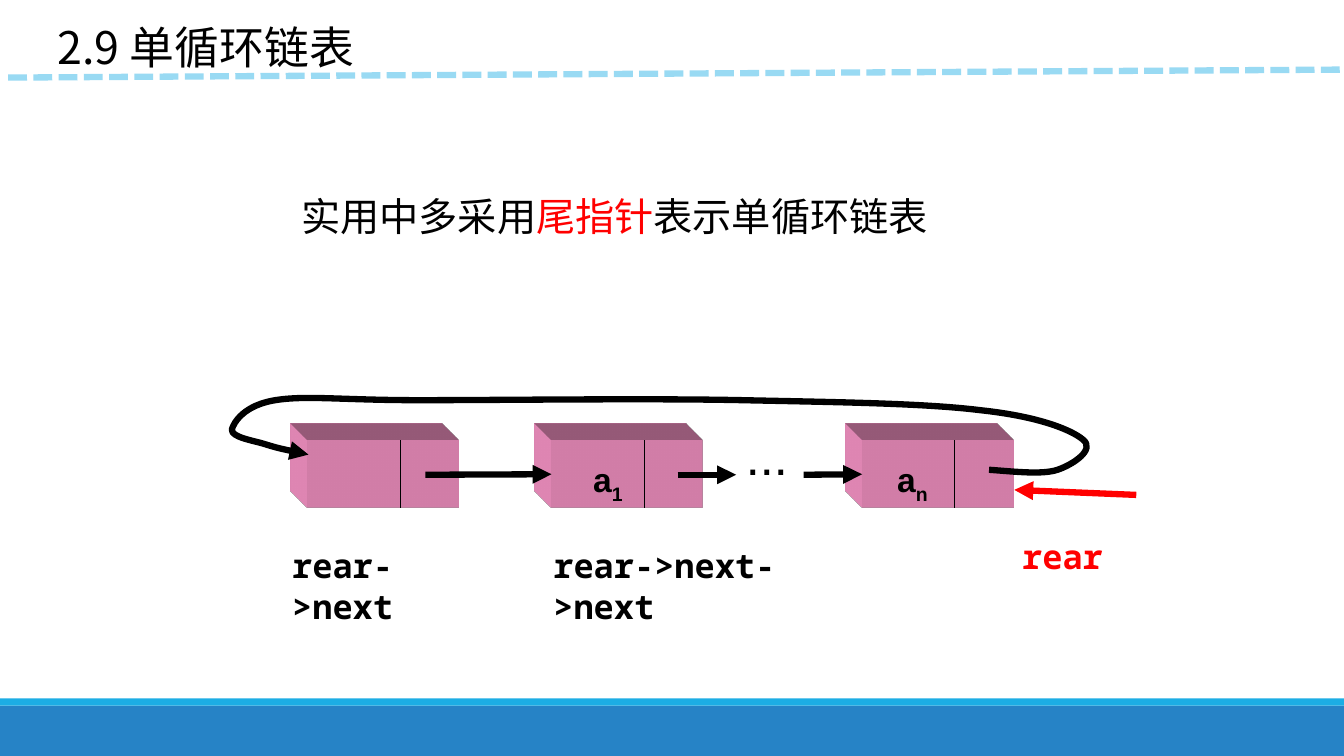
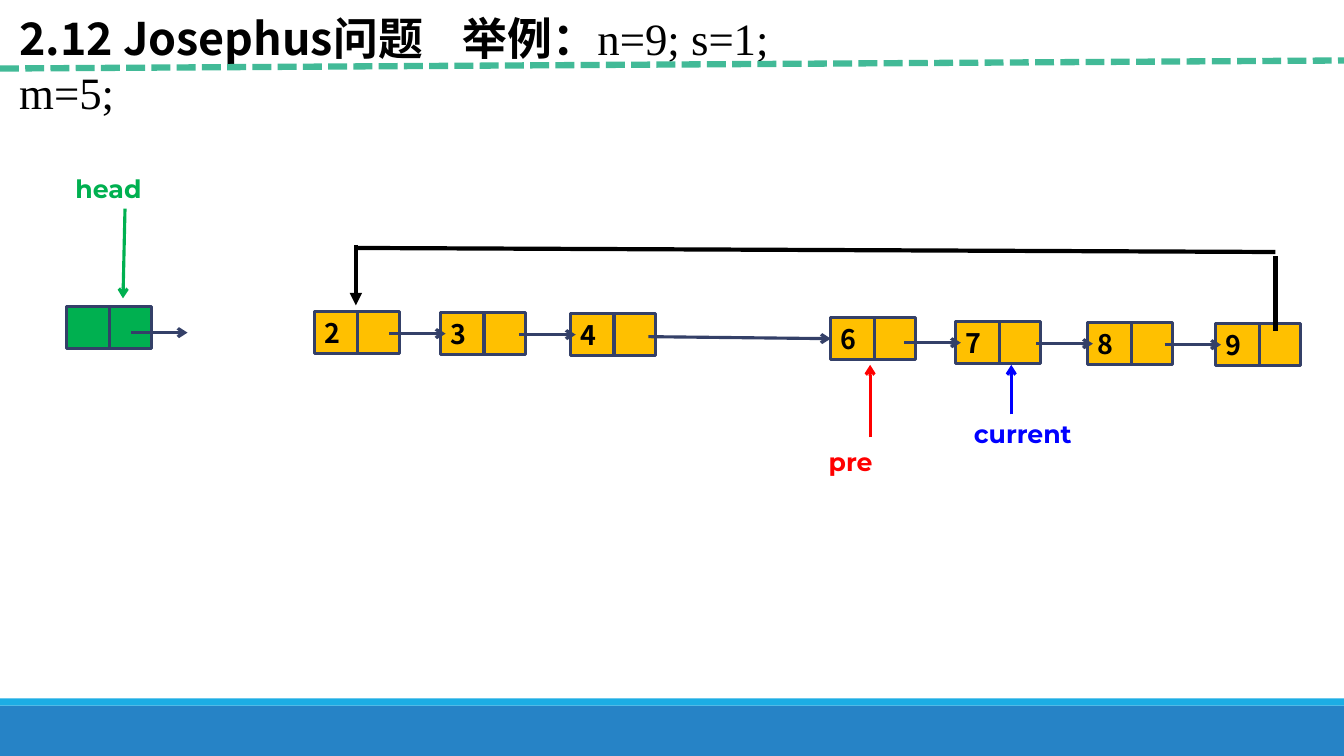
from dataclasses import dataclass

from lxml import etree
from pptx import Presentation
from pptx.dml.color import RGBColor
from pptx.enum.dml import MSO_LINE
from pptx.enum.shapes import MSO_CONNECTOR, MSO_SHAPE
from pptx.enum.text import MSO_ANCHOR, MSO_AUTO_SIZE, PP_ALIGN
from pptx.oxml.ns import qn
from pptx.util import Inches, Pt

STRAIGHT = MSO_CONNECTOR.STRAIGHT
RECT = MSO_SHAPE.RECTANGLE
DASH = MSO_LINE.SQUARE_DOT
TOP, MIDDLE = MSO_ANCHOR.TOP, MSO_ANCHOR.MIDDLE
LEFT, CENTER = PP_ALIGN.LEFT, PP_ALIGN.CENTER
FIXED = MSO_AUTO_SIZE.NONE
LEFT_SIDE = 1


@dataclass(frozen=True)
class Theme:
    black: str = "000000"
    white: str = "FFFFFF"
    red: str = "FF0000"
    blue: str = "0000FF"
    green: str = "00B050"
    gold: str = "FFC000"
    navy: str = "344068"
    sky: str = "99DAF3"
    mint: str = "42BA97"
    band: str = "2683C6"
    strip: str = "1CADE4"
    pink: str = "FF99CC"
    cjk: str = "Noto Sans CJK SC"
    mono: str = "Noto Sans Mono"
    label: str = "Montserrat"
    sans: str = "Arial"
    serif: str = "Times New Roman"
    title_pt: float = 32
    lead_pt: float = 28
    dots_pt: float = 36
    code_pt: float = 24
    node_pt: float = 19.2
    label_pt: float = 18


T = Theme()


def rgb(code):
    return RGBColor.from_string(code)


def assign(item, values):
    for name, value in values.items():
        setattr(item, name, value)


def write(shape, runs, font, size, bold=False, align=LEFT, **format):
    """Fill a shape from (text, colour[, font, bold]) runs."""
    frame = shape.text_frame
    assign(frame, {"word_wrap": True, "auto_size": FIXED, **format})
    para = frame.paragraphs[0]
    assign(para, {"alignment": align, "line_spacing": 1.0})
    for text, color, *other in runs:
        face, heavy = other or (font, bold)
        run = para.add_run()
        run.text = text
        assign(run.font, {"name": face, "size": Pt(size), "bold": heavy})
        run.font.color.rgb = rgb(color)
    for latin in list(shape.element.iter(qn("a:latin"))):
        latin.addnext(etree.Element(qn("a:ea"), typeface=latin.get("typeface")))


def text(slide, at, runs, font, size, **format):
    box = slide.shapes.add_textbox(*map(Inches, at))
    write(box, runs, font, size, **format)


def rect(slide, at, fill, edge=None):
    shape = slide.shapes.add_shape(RECT, *map(Inches, at))
    shape.shadow.inherit = False
    shape.fill.solid()
    shape.fill.fore_color.rgb = rgb(fill)
    if edge:
        shape.line.color.rgb = rgb(edge)
        shape.line.width = Pt(2.25)
    else:
        shape.line.fill.background()
    return shape


def tip(shape, kind):
    """Put an arrowhead at the end of a line."""
    stroke = shape.element.spPr.find(qn("a:ln"))
    etree.SubElement(stroke, qn("a:tailEnd"), type=kind)


def line(slide, start, end, color, width=2.25, head=None, dash=None, join=None):
    link = slide.shapes.add_connector(STRAIGHT, *map(Inches, (*start, *end)))
    link.line.color.rgb = rgb(color)
    link.line.width = Pt(width)
    if dash:
        link.line.dash_style = dash
    if head:
        tip(link, head)
    etree.SubElement(link.element.spPr, qn("a:effectLst"))
    if join:
        link.end_connect(join, LEFT_SIDE)


def curve(slide, start, parts, color, width):
    """Draw joined cubic curves, each given as two controls and an end."""
    build = slide.shapes.build_freeform(*map(Inches, start))
    build.add_line_segments([tuple(map(Inches, part[-1])) for part in parts], close=False)
    shape = build.convert_to_shape()
    for straight, part in zip(list(shape.element.iter(qn("a:lnTo"))), parts):
        bend = etree.Element(qn("a:cubicBezTo"))
        for x, y in part:
            etree.SubElement(bend, qn("a:pt"), x=str(Inches(x) - shape.left),
                             y=str(Inches(y) - shape.top))
        straight.getparent().replace(straight, bend)
    shape.shadow.inherit = False
    shape.fill.background()
    shape.line.color.rgb = rgb(color)
    shape.line.width = Pt(width)
    tip(shape, "triangle")


def extrude(shape, color):
    """Give a shape a solid depth towards the top left."""
    props = shape.element.spPr
    scene = etree.SubElement(props, qn("a:scene3d"))
    etree.SubElement(scene, qn("a:camera"), prst="legacyObliqueTopLeft")
    etree.SubElement(scene, qn("a:lightRig"), rig="legacyFlat3", dir="b")
    solid = etree.SubElement(props, qn("a:sp3d"), extrusionH=str(Pt(33.9)),
                             prstMaterial="legacyMatte")
    for bevel in ("a:bevelT", "a:bevelB"):
        etree.SubElement(solid, qn(bevel), w="13500", h="13500", prst="angle")
    tint = etree.SubElement(solid, qn("a:extrusionClr"))
    etree.SubElement(tint, qn("a:srgbClr"), val=color)


def bands(deck, slide):
    """Place the two foot bands on the master, behind everything."""
    tree = deck.slide_master.shapes.element
    for at, fill in (((0, 6.93, 13.33, 0.07), T.strip), ((0, 7, 13.33, 0.5), T.band)):
        tree.insert(2, rect(slide, at, fill).element)


def title(slide, at, runs, bold=False, tab=None, **format):
    head = slide.shapes.title
    assign(head, dict(zip(("left", "top", "width", "height"), map(Inches, at))))
    write(head, runs, T.cjk, T.title_pt, bold=bold, vertical_anchor=TOP, **format)
    if tab:
        props = next(head.element.iter(qn("a:pPr")))
        stops = etree.SubElement(props, qn("a:tabLst"))
        etree.SubElement(stops, qn("a:tab"), pos=str(Inches(tab)), algn="l")
    return head


def block(slide, x, sub=None, pad=0):
    """Draw a solid list node with a pointer field."""
    y, high = 4.37, 0.67
    node = rect(slide, (x, y, 1.5, high), T.pink)
    extrude(node, T.pink)
    if sub:
        write(node, [("a", T.black), (sub, T.black)], T.sans, T.code_pt,
              bold=True, align=CENTER, vertical_anchor=MIDDLE,
              margin_top=Inches(0.16), margin_bottom=0, margin_right=Inches(pad))
        list(node.element.iter(qn("a:rPr")))[-1].set("baseline", "-25000")
    line(slide, (x + 0.92, y), (x + 0.92, y + high), T.black, 0.75)
    return node


def cell(slide, x, y, fill, value=None):
    """Draw a flat list node with a pointer field."""
    node = rect(slide, (x, y, 0.84, 0.42), fill, T.navy)
    if value:
        write(node, [(value, T.black)], T.cjk, T.node_pt, bold=True,
              vertical_anchor=MIDDLE, margin_top=0, margin_bottom=0)
    line(slide, (x + 0.43, y - 0.01), (x + 0.43, y + 0.43), T.navy)
    return node


def ring(slide):
    title(slide, (0.37, 0.15, 3.85, 0.64), [("2.9 单循环链表", T.black)],
          margin_left=Inches(0.2))
    block(slide, 3.05)
    first = block(slide, 5.47, "1", 0.48)
    last = block(slide, 8.55, "n", 0.6)
    mid = 4.71
    for start, end, join in ((4.22, 5.47, first), (6.72, 7.3, None), (7.97, 8.55, last)):
        line(slide, (start, mid), (end, mid), T.black, 4.5, "triangle", join=join)
    text(slide, (7.3, 4.17, 0.62, 0.7), [("...", T.black)], T.sans, T.dots_pt,
         word_wrap=False)
    curve(slide, (9.81, 4.66), [
        ((10.08, 4.68), (10.34, 4.71), (10.49, 4.66)),
        ((10.64, 4.61), (10.87, 4.46), (10.74, 4.36)),
        ((10.62, 4.26), (10.29, 4.13), (9.73, 4.07)),
        ((9.17, 4), (8.3, 3.99), (7.37, 3.97)),
        ((6.44, 3.95), (4.93, 3.97), (4.16, 3.97)),
        ((3.39, 3.97), (3.04, 3.92), (2.73, 3.97)),
        ((2.42, 4.02), (2.32, 4.19), (2.3, 4.26)),
        ((2.29, 4.34), (2.52, 4.37), (2.64, 4.41)),
        ((2.77, 4.45), (2.92, 4.48), (3.06, 4.51)),
    ], T.black, 4.5)
    text(slide, (2.89, 1.86, 6.45, 0.57),
         [("实用中多采用", T.black), ("尾指针", T.red), ("表示单循环链表", T.black)],
         T.cjk, T.lead_pt)
    line(slide, (11.27, 4.91), (10.06, 4.86), T.red, 4.5, "triangle")
    for at, code, color in (
        ((10.04, 5.27, 1.51, 0.51), "rear", T.red),
        ((2.8, 5.36, 2.06, 0.5), "rear->next", T.black),
        ((5.39, 5.36, 3.18, 0.5), "rear->next->next", T.black),
    ):
        text(slide, at, [(code, color)], T.mono, T.code_pt, bold=True)
    line(slide, (0.08, 0.77), (13.42, 0.69), T.sky, 4.5, dash=DASH)


def game(slide):
    head = title(slide, (0.09, 0.06, 8.91, 0.64),
                 [("2.12 Josephus问题\t举例：", T.black),
                  ("n=9; s=1; m=5;", T.black, T.serif, False)],
                 bold=True, tab=4.4, margin_right=Inches(0.4))
    head.fill.solid()
    head.fill.fore_color.rgb = rgb(T.white)
    nodes = {}
    for value, x, y in (("2", 3.12, 3.09), ("3", 4.37, 3.1), ("4", 5.66, 3.11),
                        ("6", 8.24, 3.15), ("7", 9.48, 3.19), ("8", 10.79, 3.2),
                        ("9", 12.06, 3.21)):
        nodes[value] = cell(slide, x, y, T.gold, value)
        if value not in "26":
            line(slide, (x - 0.51, y + 0.21), (x + 0.05, y + 0.21), T.navy, head="arrow")
    line(slide, (6.43, 3.34), (8.24, 3.36), T.navy, head="arrow", join=nodes["6"])
    cell(slide, 0.66, 3.04, T.green)
    line(slide, (1.3, 3.3), (1.86, 3.3), T.navy, head="arrow")
    for start, end, kind in (((12.65, 3.28), (12.65, 2.54), None),
                             ((12.65, 2.5), (3.53, 2.46), None),
                             ((3.53, 2.43), (3.53, 3.03), "triangle")):
        line(slide, start, end, T.black, 3, kind)
    for name, at, start, end, color in (
        ("pre", (8.12, 4.38, 0.78, 0.4), (8.63, 4.34), (8.63, 3.62), T.red),
        ("current", (9.56, 4.1, 1.29, 0.4), (10.03, 4.11), (10.03, 3.62), T.blue),
        ("head", (0.65, 1.67, 0.98, 0.4), (1.24, 2.07), (1.22, 2.96), T.green),
    ):
        line(slide, start, end, color, head="arrow")
        text(slide, at, [(name, color)], T.label, T.label_pt, bold=True)
    line(slide, (0, 0.68), (13.33, 0.6), T.mint, 4.5, dash=DASH)


def main():
    deck = Presentation()
    deck.slide_width, deck.slide_height = Inches(13.33), Inches(7.5)
    plain = deck.slide_layouts[5]
    pages = [deck.slides.add_slide(plain) for _ in range(2)]
    bands(deck, pages[0])
    ring(pages[0])
    game(pages[1])
    deck.save("out.pptx")


if __name__ == "__main__":
    main()
